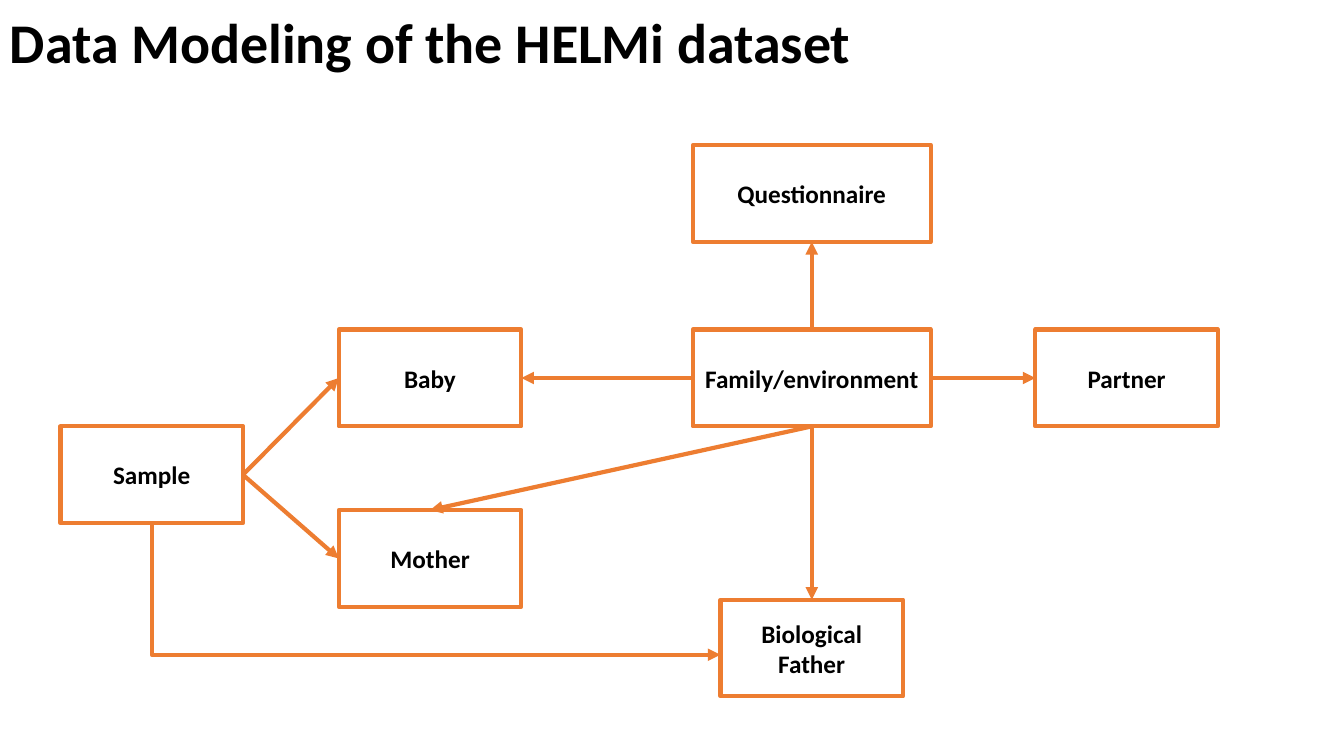
from pptx import Presentation as Deck
from pptx.dml.color import RGBColor as Rgb
from pptx.enum.shapes import MSO_CONNECTOR as Link, MSO_SHAPE as Form
from pptx.enum.text import MSO_ANCHOR as Anchor, PP_ALIGN as Align
from pptx.oxml.ns import qn
from pptx.util import Inches, Pt
from lxml.etree import SubElement as Sub

TOP, LEFT, BOTTOM, RIGHT = range(4)


def paint(code):
    return Rgb.from_string(code)


class Board:
    """Style and slide; lengths are percent of slide width and height."""
    font, ink, edge, weight = "Calibri", "000000", "ED7D31", 3

    def __init__(self):
        self.deck = Deck()
        self.deck.slide_width, self.deck.slide_height = Inches(13.33), Inches(7.5)
        self.slide = self.deck.slides.add_slide(self.deck.slide_layouts[6])

    def col(self, share):
        return round(self.deck.slide_width * share / 100)

    def row(self, share):
        return round(self.deck.slide_height * share / 100)

    def area(self, x, y, wide, high):
        return self.col(x), self.row(y), self.col(wide), self.row(high)

    def label(self, shape, text, size, align):
        frame = shape.text_frame
        frame.word_wrap = True
        frame.vertical_anchor = Anchor.MIDDLE
        para = frame.paragraphs[0]
        para.alignment = align
        run = para.add_run()
        run.text = text
        run.font.name, run.font.size, run.font.bold = self.font, Pt(size), True
        run.font.color.rgb = paint(self.ink)
        return para

    def title(self, text, *place):
        box = self.slide.shapes.add_textbox(*self.area(*place))
        self.label(box, text, 40, Align.LEFT).line_spacing = 0.9

    def node(self, text, mid, y, wide=13.58, high=12.8):
        place = self.area(mid - wide / 2, y, wide, high)
        box = self.slide.shapes.add_shape(Form.RECTANGLE, *place)
        box.shadow.inherit = False
        box.fill.background()
        box.line.color.rgb = paint(self.edge)
        box.line.width = Pt(self.weight)
        self.label(box, text, 18, Align.CENTER)
        return box

    def finish(self, line):
        line.line.color.rgb = paint(self.edge)
        line.line.width = Pt(self.weight)
        props = line._element.spPr
        Sub(props.find(qn("a:ln")), qn("a:tailEnd"), type="triangle")
        Sub(props, qn("a:effectLst"))

    def arrow(self, start, out, end, into):
        line = self.slide.shapes.add_connector(Link.STRAIGHT, 0, 0, 0, 0)
        line.begin_connect(start, out)
        line.end_connect(end, into)
        self.finish(line)

    def elbow(self, x1, y1, x2, y2):
        """Arrow that runs down, then right: a quarter-turned, flipped bend."""
        left, top, wide, high = self.area(x1, y1, x2 - x1, y2 - y1)
        x, y = left + (wide - high) // 2, top + (high - wide) // 2
        line = self.slide.shapes.add_connector(Link.ELBOW, x + high, y, x, y + wide)
        props = line._element.spPr
        props.find(qn("a:xfrm")).set("rot", str(270 * 60000))
        props.find(qn("a:prstGeom")).set("prst", "bentConnector2")
        self.finish(line)


def main():
    board = Board()
    board.title("Data Modeling of the HELMi dataset", 0, 0, 86.27, 12)

    # Entities, by centre column and top row
    kin, hub, level = 32, 60.4, 43.6
    baby = board.node("Baby", kin, level)
    family = board.node("Family/environment", hub, level, 17.7)
    mother = board.node("Mother", kin, 67.47)
    father = board.node("Biological Father", hub, 79.33)
    partner = board.node("Partner", 83.83, level)
    sample = board.node("Sample", 11.29, 56.4)
    form = board.node("Questionnaire", hub, 19.2, 17.7)

    # Relations
    for link in (
        (family, BOTTOM, mother, TOP),
        (sample, RIGHT, baby, LEFT),
        (sample, RIGHT, mother, LEFT),
        (family, LEFT, baby, RIGHT),
        (family, BOTTOM, father, TOP),
        (family, RIGHT, partner, LEFT),
        (family, TOP, form, BOTTOM),
    ):
        board.arrow(*link)
    board.elbow(11.29, 69.2, 53.6, 86.6)

    board.deck.save("out.pptx")


if __name__ == "__main__":
    main()
